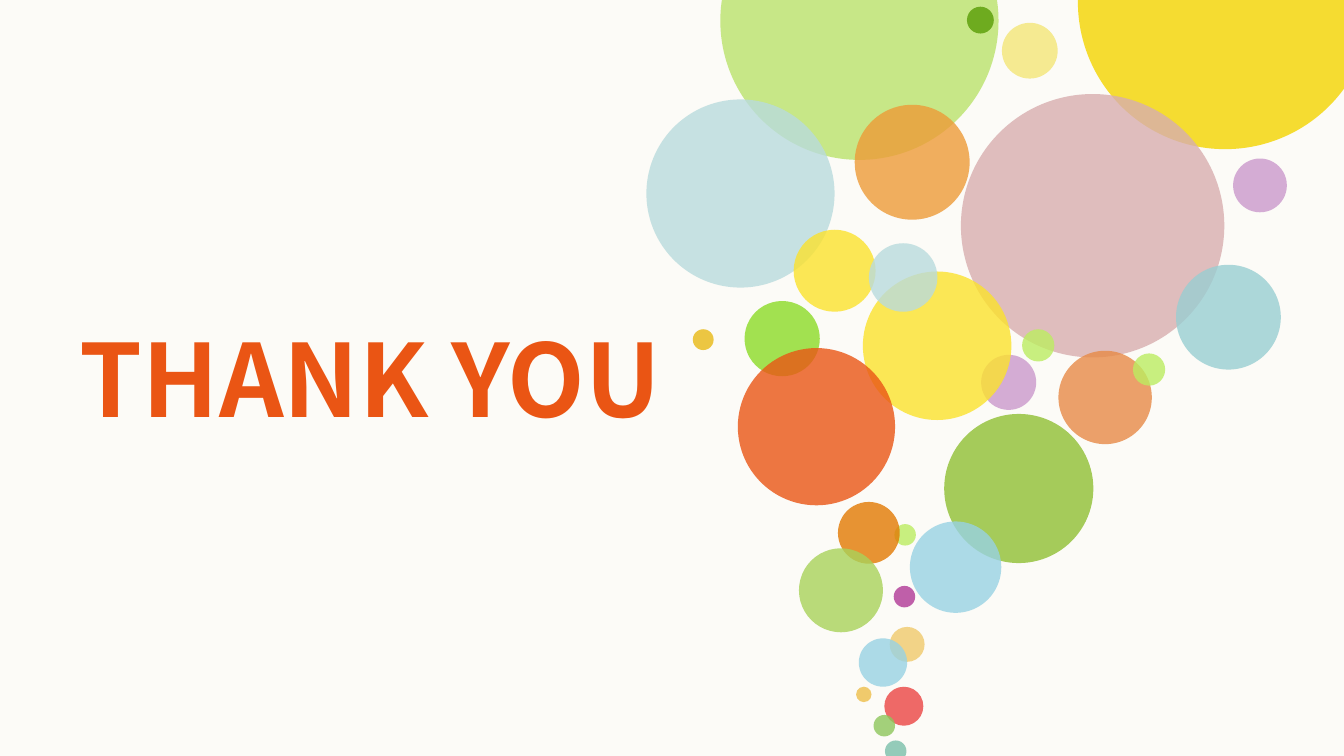
from pptx import Presentation
from pptx.dml.color import RGBColor
from pptx.enum.shapes import MSO_SHAPE
from pptx.enum.text import MSO_ANCHOR, MSO_AUTO_SIZE, PP_ALIGN
from pptx.oxml.ns import qn
from pptx.util import Emu, Pt
from lxml import etree

OVAL = MSO_SHAPE.OVAL
CENTER = PP_ALIGN.CENTER
TOP = MSO_ANCHOR.TOP
GROW = MSO_AUTO_SIZE.SHAPE_TO_FIT_TEXT

PX = 4572  # EMU in one px, 200 px to the inch
SLIDE_W, SLIDE_H = 2000, 1125
FONT = "Noto Sans CJK SC"
SOFT, SOLID = 80, 100  # opacity in percent

COLORS = {
    "paper": "FCFBF7",
    "pale lime": "BAE36B",
    "forest": "6EAB1F",
    "mist": "B9DBDD",
    "apricot": "ED9B38",
    "cream": "F5EA91",
    "sun": "F4D500",
    "rose": "D8AEAF",
    "aqua": "99CED2",
    "lilac": "CB99CC",
    "copper": "E78A47",
    "olive": "A5CB5A",
    "lime": "BCED61",
    "lemon": "FBE22D",
    "green": "8CDB27",
    "gold": "E9B915",
    "plum": "B03896",
    "sand": "F0CA6C",
    "teal": "7BBFAA",
    "red": "EB4544",
    "leaf": "8DC65B",
    "sky": "98D2E3",
    "amber": "E27902",
    "moss": "A9D25A",
    "flame": "EA5514",
}

# left, top, diameter, colour, opacity; left is relative to the cloud's box
BUBBLES = [
    (110, -176, 414, "pale lime", SOFT),
    (477, 10, 40, "forest", SOLID),
    (0, 148, 280, "mist", SOFT),
    (310, 156, 171, "apricot", SOFT),
    (529, 34, 83, "cream", SOLID),
    (642, -216, 438, "sun", SOFT),
    (468, 140, 392, "rose", SOFT),
    (788, 394, 156, "aqua", SOFT),
    (873, 236, 80, "lilac", SOFT),
    (613, 522, 139, "copper", SOFT),
    (443, 616, 222, "olive", SOLID),
    (724, 526, 48, "lime", SOFT),
    (559, 490, 48, "lime", SOFT),
    (498, 528, 82, "lilac", SOFT),
    (322, 404, 221, "lemon", SOFT),
    (219, 342, 122, "lemon", SOFT),
    (146, 448, 112, "green", SOFT),
    (69, 490, 31, "gold", SOFT),
    (369, 780, 32, "lime", SOFT),
    (368, 872, 32, "plum", SOFT),
    (362, 933, 52, "sand", SOFT),
    (312, 1022, 23, "sand", SOLID),
    (355, 1102, 32, "teal", SOFT),
    (354, 1022, 58, "red", SOFT),
    (338, 1064, 32, "leaf", SOFT),
    (316, 950, 72, "sky", SOFT),
    (331, 362, 102, "mist", SOFT),
    (392, 776, 136, "sky", SOFT),
    (285, 747, 92, "amber", SOFT),
    (227, 816, 125, "moss", SOFT),
    (136, 518, 234, "flame", SOFT),
]


def px(length):
    return Emu(length * PX)


def paint(fill, color, opacity=SOLID):
    fill.solid()
    fill.fore_color.rgb = RGBColor.from_string(COLORS[color])
    if opacity < SOLID:
        rgb = fill._xPr.find(qn("a:solidFill")).find(qn("a:srgbClr"))
        etree.SubElement(rgb, qn("a:alpha"), val=str(opacity * 1000))


def add_bubble(slide, left, top, diameter, color, opacity):
    bubble = slide.shapes.add_shape(
        OVAL, px(left), px(top), px(diameter), px(diameter))
    bubble.shadow.inherit = False
    bubble.line.fill.background()
    paint(bubble.fill, color, opacity)


def add_text(slide, text, left, top, width, height, *, size, color,
             bold=False, align=CENTER, anchor=TOP):
    box = slide.shapes.add_textbox(px(left), px(top), px(width), px(height))
    frame = box.text_frame
    frame.word_wrap = True
    frame.auto_size = GROW
    frame.vertical_anchor = anchor
    frame.margin_left = frame.margin_right = 0
    frame.margin_top = frame.margin_bottom = 0
    paragraph = frame.paragraphs[0]
    paragraph.alignment = align
    run = paragraph.add_run()
    run.text = text
    run.font.name = FONT
    run.font.size = Pt(size)
    run.font.bold = bold
    run.font.color.rgb = RGBColor.from_string(COLORS[color])
    east_asian = etree.SubElement(run._r.get_or_add_rPr(), qn("a:ea"))
    east_asian.set("typeface", FONT)


def add_bubble_cloud(slide, left, top):
    for x, y, diameter, color, opacity in BUBBLES:
        add_bubble(slide, left + x, top + y, diameter, color, opacity)


def add_closing_words(slide, left, top, width, height):
    add_text(slide, "THANK YOU", left, top, width, height,
             size=54, color="flame", bold=True)


def main():
    deck = Presentation()
    deck.slide_width, deck.slide_height = px(SLIDE_W), px(SLIDE_H)
    slide = deck.slides.add_slide(deck.slide_layouts[6])
    paint(slide.background.fill, "paper")
    add_bubble_cloud(slide, 962, 0)
    add_closing_words(slide, -177, 472, 1456, 182)
    deck.save("out.pptx")


if __name__ == "__main__":
    main()
